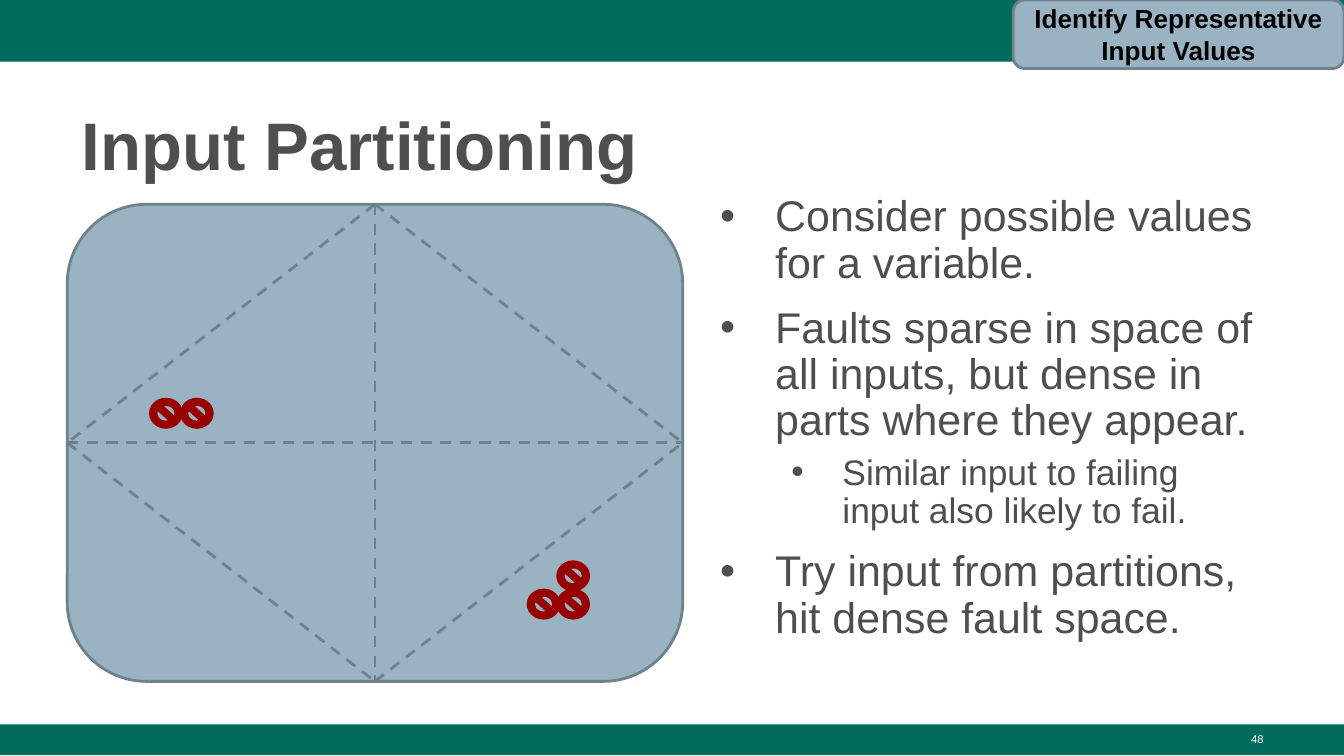
from dataclasses import dataclass
from itertools import combinations

from lxml.etree import SubElement
from pptx import Presentation
from pptx.dml.color import RGBColor
from pptx.enum.dml import MSO_LINE
from pptx.enum.shapes import MSO_CONNECTOR, MSO_SHAPE
from pptx.enum.text import MSO_ANCHOR, PP_ALIGN
from pptx.oxml.ns import qn
from pptx.shapes.autoshape import Shape
from pptx.slide import Slide
from pptx.text.text import TextFrame, _Paragraph
from pptx.util import Inches, Pt


@dataclass(frozen=True)
class Theme:
    font: str = "Arial"
    green: str = "006C5C"
    ink: str = "4F4F4F"
    panel: str = "99B3C2"
    edge: str = "6F828C"
    fault: str = "980000"
    white: str = "FFFFFF"
    black: str = "000000"
    title: float = 36
    body: float = 23
    sub: float = 19
    tag: float = 14
    page: float = 6
    stroke: float = 1.5


@dataclass(frozen=True)
class Box:
    left: float
    top: float
    width: float
    height: float

    def place(self) -> tuple:
        return tuple(Inches(v) for v in (self.left, self.top, self.width, self.height))


@dataclass(frozen=True)
class Point:
    text: str
    level: int = 0


@dataclass(frozen=True)
class Level:
    size: float
    left: float
    hang: float
    before: float


THEME = Theme()
LEVELS = (Level(THEME.body, 0.5, 0.41, 10), Level(THEME.sub, 1, 0.38, 5))
POINTS = (
    Point("Consider possible values for a variable."),
    Point("Faults sparse in space of all inputs, but dense in parts where they appear."),
    Point("Similar input to failing input also likely to fail.", 1),
    Point("Try input from partitions, hit dense fault space."),
)
BARS = (Box(0, 0, 10, 0.46), Box(0, 5.39, 10, 0.23))
FAULTS = tuple(
    Box(left, top, 0.23, 0.21)
    for left, top in ((1.35, 2.97), (1.12, 2.97), (4.15, 4.39), (4.15, 4.18), (3.93, 4.39))
)


def add_run(para: _Paragraph, text: str, size: float, color: str, bold: bool = False) -> None:
    run = para.add_run()
    run.text = text
    font = run.font
    font.name, font.size, font.bold = THEME.font, Pt(size), bold
    font.color.rgb = RGBColor.from_string(color)


def set_frame(frame: TextFrame, pad: float = 0.05) -> None:
    frame.word_wrap = True
    frame.margin_left = frame.margin_right = Inches(0.1)
    frame.margin_top = frame.margin_bottom = Inches(pad)


def add_form(slide: Slide, kind: MSO_SHAPE, box: Box, fill: str, line: str = "") -> Shape:
    shape = slide.shapes.add_shape(kind, *box.place())
    shape.shadow.inherit = False
    shape.fill.solid()
    shape.fill.fore_color.rgb = RGBColor.from_string(fill)
    if line:
        shape.line.color.rgb = RGBColor.from_string(line)
        shape.line.width = Pt(THEME.stroke)
    else:
        shape.line.fill.background()
    return shape


def add_split(slide: Slide, panel: Shape, start: int, end: int) -> None:
    """Join two side middles of the panel with a dashed line."""
    line = slide.shapes.add_connector(MSO_CONNECTOR.STRAIGHT, 0, 0, 0, 0)
    line.begin_connect(panel, start)
    line.end_connect(panel, end)
    line.line.color.rgb = RGBColor.from_string(THEME.edge)
    line.line.width = Pt(THEME.stroke)
    line.line.dash_style = MSO_LINE.DASH
    SubElement(line._element.spPr, qn("a:effectLst"))


def add_bullet(para: _Paragraph, level: Level) -> None:
    props = para._p.get_or_add_pPr()
    props.set("marL", str(Inches(level.left)))
    props.set("indent", str(-Inches(level.hang)))
    color = SubElement(props, qn("a:buClr"))
    SubElement(color, qn("a:srgbClr"), val=THEME.ink)
    SubElement(props, qn("a:buFont"), typeface=THEME.font)
    SubElement(props, qn("a:buChar"), char="•")


def add_title(slide: Slide) -> None:
    title = slide.shapes.title
    title.left, title.top, title.width, title.height = Box(0.51, 0.67, 8.99, 0.73).place()
    frame = title.text_frame
    set_frame(frame)
    frame.vertical_anchor = MSO_ANCHOR.TOP
    para = frame.paragraphs[0]
    para.alignment = PP_ALIGN.LEFT
    para.line_spacing = 1.08
    add_run(para, "Input Partitioning", THEME.title, THEME.ink, True)


def add_points(slide: Slide) -> None:
    frame = slide.shapes.add_textbox(*Box(5.17, 1.4, 4.33, 3.81).place()).text_frame
    set_frame(frame)
    for i, point in enumerate(POINTS):
        para = frame.add_paragraph() if i else frame.paragraphs[0]
        level = LEVELS[point.level]
        para.level = point.level
        add_bullet(para, level)
        para.line_spacing = 0.9
        para.space_before = Pt(level.before if i else 0)
        add_run(para, point.text, level.size, THEME.ink)


def add_page(slide: Slide) -> None:
    frame = slide.shapes.add_textbox(*Box(7.17, 5.4, 2.33, 0.23).place()).text_frame
    set_frame(frame)
    para = frame.paragraphs[0]
    para.alignment = PP_ALIGN.RIGHT
    add_run(para, "48", THEME.page, THEME.white)


def add_tag(slide: Slide) -> None:
    tag = add_form(slide, MSO_SHAPE.ROUNDED_RECTANGLE, Box(7.54, 0, 2.46, 0.51),
                   THEME.panel, THEME.edge)
    frame = tag.text_frame
    set_frame(frame, 0.1)
    frame.vertical_anchor = MSO_ANCHOR.MIDDLE
    para = frame.paragraphs[0]
    para.alignment = PP_ALIGN.CENTER
    add_run(para, "Identify Representative Input Values", THEME.tag, THEME.black, True)


def main() -> None:
    deck = Presentation()
    deck.slide_width = Inches(10)
    deck.slide_height = deck.slide_width * 9 // 16
    slide = deck.slides.add_slide(deck.slide_layouts[5])
    for bar in BARS:
        add_form(slide, MSO_SHAPE.RECTANGLE, bar, THEME.green)
    add_title(slide)
    panel = add_form(slide, MSO_SHAPE.ROUNDED_RECTANGLE, Box(0.5, 1.52, 4.58, 3.55),
                     THEME.panel, THEME.edge)
    for fault in FAULTS:
        add_form(slide, MSO_SHAPE.NO_SYMBOL, fault, THEME.fault, THEME.fault)
    for start, end in combinations(range(4), 2):
        add_split(slide, panel, start, end)
    add_page(slide)
    add_tag(slide)
    add_points(slide)
    deck.save("out.pptx")


if __name__ == "__main__":
    main()
